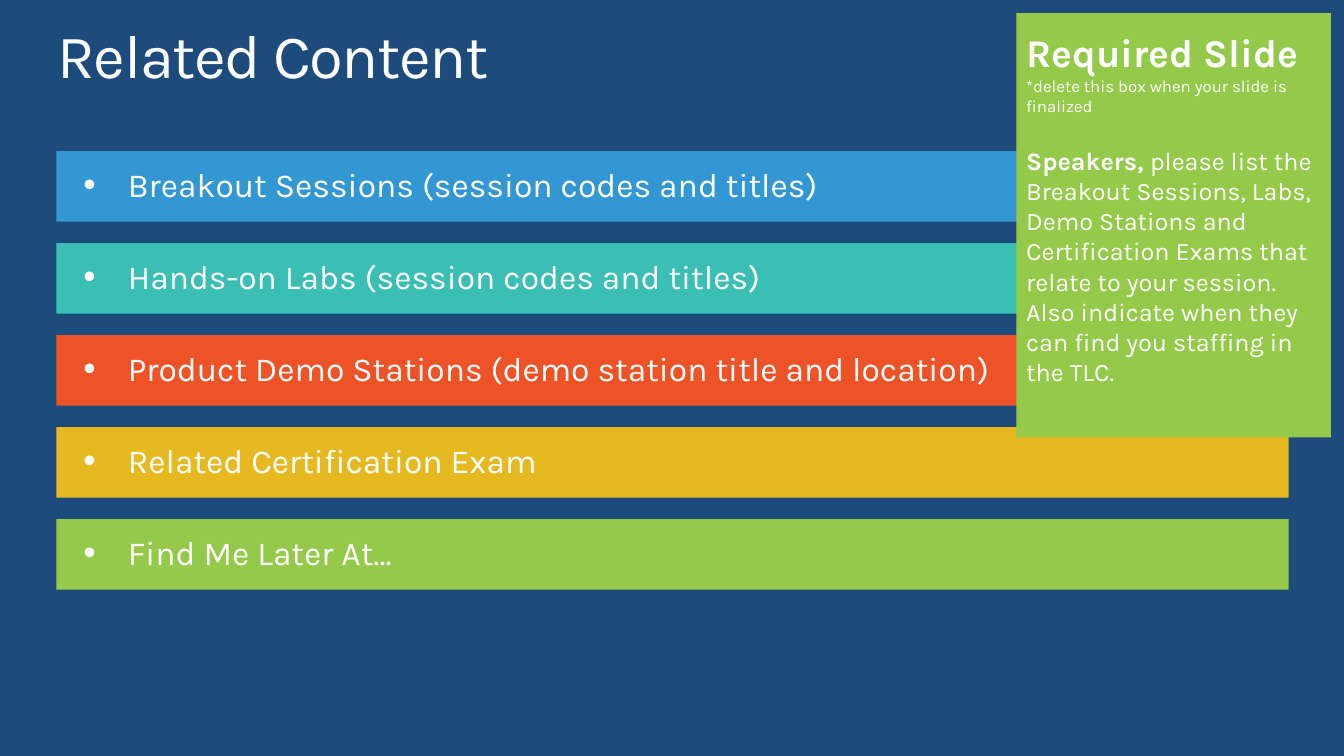
from pptx import Presentation
from pptx.dml.color import RGBColor
from pptx.enum import shapes, text
from pptx.oxml.xmlchemy import OxmlElement
from pptx.util import Inches, Pt

FONT = "Karla"
COLORS = {
    "navy": "1D4C7C",
    "blue": "3397D3",
    "teal": "3BBEB4",
    "orange": "ED5326",
    "yellow": "E7B921",
    "green": "94C949",
    "white": "FFFFFF",
}
TOPICS = [
    ("blue", "Breakout Sessions (session codes and titles)"),
    ("teal", "Hands-on Labs (session codes and titles)"),
    ("orange", "Product Demo Stations (demo station title and location)"),
    ("yellow", "Related Certification Exam"),
    ("green", "Find Me Later At…"),
]
FIRST_BAR_TOP, LAST_BAR_TOP = 1.5, 5.15
BAR_PITCH = (LAST_BAR_TOP - FIRST_BAR_TOP) / (len(TOPICS) - 1)


def color(name):
    return RGBColor.from_string(COLORS[name])


def format_run(run, size, bold=False):
    run.font.name = FONT
    run.font.size = Pt(size)
    run.font.bold = bold
    run.font.color.rgb = color("white")


def set_margins(frame, horizontal, vertical):
    frame.margin_left = frame.margin_right = Inches(horizontal)
    frame.margin_top = frame.margin_bottom = Inches(vertical)


def add_rectangle(slide, left, top, width, height, fill):
    shape = slide.shapes.add_shape(
        shapes.MSO_SHAPE.RECTANGLE,
        Inches(left), Inches(top), Inches(width), Inches(height))
    shape.shadow.inherit = False
    shape.fill.solid()
    shape.fill.fore_color.rgb = color(fill)
    shape.line.fill.background()
    return shape


def set_bullet(paragraph, indent):
    """Give the paragraph a round bullet with a hanging indent."""
    properties = paragraph._p.get_or_add_pPr()
    properties.set("marL", str(Inches(indent)))
    properties.set("indent", str(-Inches(indent)))
    for tag, attribute, value in (("a:buSzPct", "val", "105000"),
                                  ("a:buFont", "typeface", "Arial"),
                                  ("a:buChar", "char", "•")):
        element = OxmlElement(tag)
        element.set(attribute, value)
        properties.append(element)


def add_title(slide, wording):
    title = slide.shapes.title
    title.left, title.top = Inches(0.57), Inches(0.25)
    title.width, title.height = Inches(12.19), Inches(0.67)
    frame = title.text_frame
    frame.text = wording
    frame.word_wrap = True
    frame.vertical_anchor = text.MSO_ANCHOR.MIDDLE
    set_margins(frame, 0, 0)
    paragraph = frame.paragraphs[0]
    paragraph.alignment = text.PP_ALIGN.LEFT
    paragraph.line_spacing = 0.9
    run = paragraph.runs[0]
    format_run(run, 44)
    run._r.get_or_add_rPr().set("spc", "-100")


def add_topic_text(slide, top, wording):
    box = slide.shapes.add_textbox(
        Inches(0.73), Inches(top), Inches(12.04), Inches(0.46))
    frame = box.text_frame
    frame.text = wording
    frame.word_wrap = True
    paragraph = frame.paragraphs[0]
    paragraph.line_spacing = 0.9
    set_bullet(paragraph, 0.44)
    format_run(paragraph.runs[0], 24)


def add_speaker_note_box(slide):
    box = add_rectangle(slide, 10.08, 0.13, 3.12, 4.21, "green")
    frame = box.text_frame
    frame.word_wrap = True
    frame.vertical_anchor = text.MSO_ANCHOR.TOP
    set_margins(frame, 0.1, 0.15)
    frame.text = ("Required Slide\n"
                  "*delete this box when your slide is finalized\n"
                  "Speakers, ")
    heading, hint, request = frame.paragraphs
    request.add_run().text = (
        "please list the Breakout Sessions, Labs, Demo Stations and "
        "Certification Exams that relate to your session. Also indicate "
        "when they can find you staffing in the TLC.")
    request.space_before = Pt(21)
    for paragraph in frame.paragraphs:
        paragraph.alignment = text.PP_ALIGN.LEFT
    format_run(heading.runs[0], 28, bold=True)
    format_run(hint.runs[0], 12)
    format_run(request.runs[0], 18, bold=True)
    format_run(request.runs[1], 18)


def main():
    presentation = Presentation()
    presentation.slide_width = Inches(13.33)
    presentation.slide_height = Inches(7.5)
    slide = presentation.slides.add_slide(presentation.slide_layouts[5])
    slide.background.fill.solid()
    slide.background.fill.fore_color.rgb = color("navy")

    add_title(slide, "Related Content")
    for index, (fill, wording) in enumerate(TOPICS):
        top = FIRST_BAR_TOP + index * BAR_PITCH
        add_rectangle(slide, 0.56, top, 12.22, 0.7, fill)
        add_topic_text(slide, top + 0.12, wording)
    add_speaker_note_box(slide)

    presentation.save("out.pptx")


if __name__ == "__main__":
    main()
